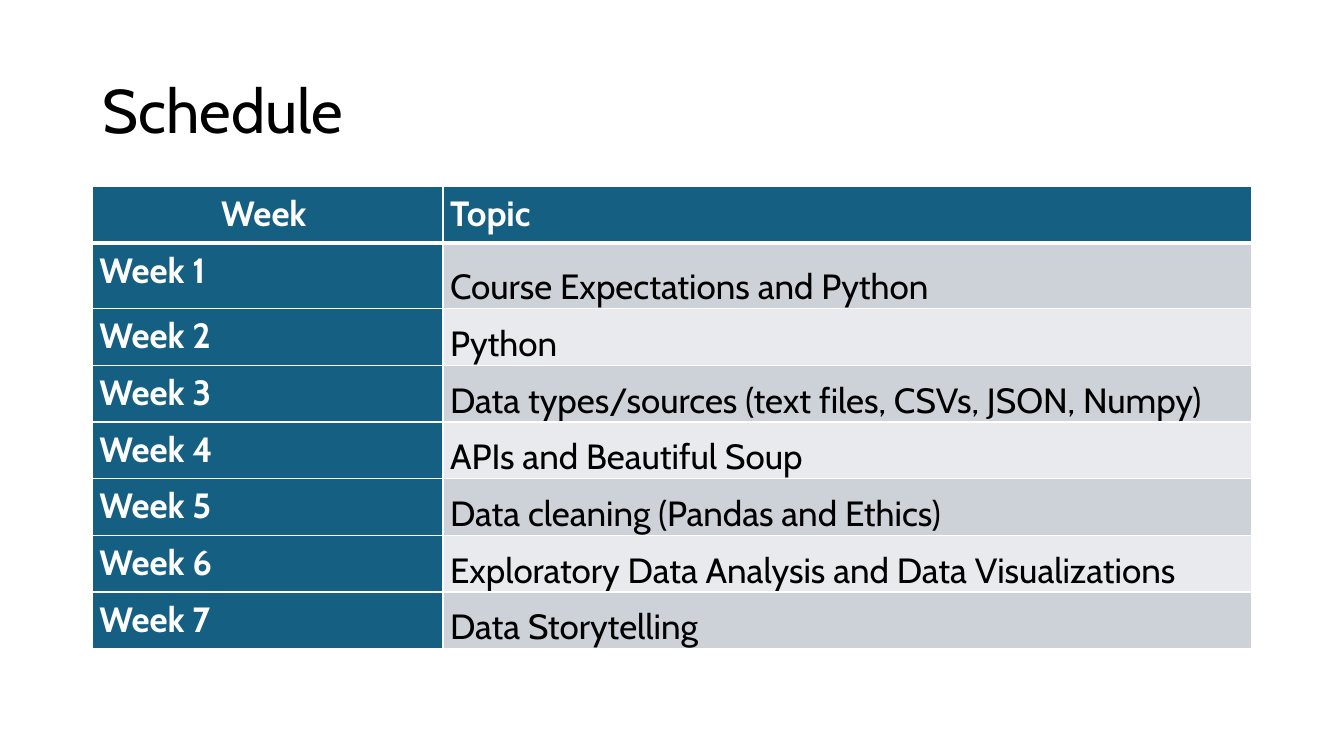
import pptx
import pptx.dml.color
import pptx.enum.text
import pptx.oxml
import pptx.oxml.ns
import pptx.util

Pt = pptx.util.Pt
Align = pptx.enum.text.PP_ALIGN
Anchor = pptx.enum.text.MSO_ANCHOR

FONT = "Cabin"
WHITE = "FFFFFF"
BLACK = "000000"
BLUE = "156082"
BANDS = ["CCD2D8", "E8EAED"]
HEADINGS = ["Week ", "Topic"]
TOPICS = [
    "Course Expectations and Python",
    "Python",
    "Data types/sources (text files, CSVs, JSON, Numpy)",
    "APIs and Beautiful Soup",
    "Data cleaning (Pandas and Ethics)",
    "Exploratory Data Analysis and Data Visualizations",
    "Data Storytelling",
]


def color(hex_string):
    return pptx.dml.color.RGBColor.from_string(hex_string)


def write_text(text_frame, text, size=25, hex_color=BLACK, bold=False,
               align=Align.LEFT, spacing=1.15):
    paragraph = text_frame.paragraphs[0]
    paragraph.alignment = align
    paragraph.line_spacing = spacing
    run = paragraph.add_run()
    run.text = text
    run.font.name = FONT
    run.font.size = Pt(size)
    run.font.bold = bold
    run.font.color.rgb = color(hex_color)


def add_border(cell, side, width, hex_color=WHITE):
    namespace = pptx.oxml.ns.nsdecls("a")
    cell._tc.get_or_add_tcPr().append(pptx.oxml.parse_xml(
        f'<a:{side} {namespace} w="{Pt(width)}"><a:solidFill>'
        f'<a:srgbClr val="{hex_color}"/></a:solidFill></a:{side}>'))


def format_cell(cell, fill, anchor, top_width=1, bottom_width=1):
    cell.margin_left = cell.margin_right = Pt(5)
    cell.margin_top = cell.margin_bottom = 0
    cell.vertical_anchor = anchor
    for side, width in [("lnL", 1), ("lnR", 1), ("lnT", top_width), ("lnB", bottom_width)]:
        add_border(cell, side, width)
    cell.fill.solid()
    cell.fill.fore_color.rgb = color(fill)


def add_title(slide, text, left, top, width, height):
    shape = slide.shapes.add_textbox(Pt(left), Pt(top), Pt(width), Pt(height))
    shape.text_frame.word_wrap = True
    shape.text_frame.vertical_anchor = Anchor.MIDDLE
    write_text(shape.text_frame, text, size=44, spacing=0.9)


def add_schedule(slide, left, top, width, height, week_width=250.5, first_week_extra=6.3):
    row_count = len(TOPICS) + 1
    table = slide.shapes.add_table(
        row_count, 2, Pt(left), Pt(top), Pt(width), Pt(height)).table
    table.columns[0].width = Pt(week_width)
    table.columns[1].width = Pt(width - week_width)
    row_height = (height - first_week_extra) / row_count
    for index, row in enumerate(table.rows):
        row.height = Pt(row_height + (first_week_extra if index == 1 else 0))

    for column, heading in enumerate(HEADINGS):
        cell = table.cell(0, column)
        format_cell(cell, BLUE, Anchor.TOP, bottom_width=3)
        write_text(cell.text_frame, heading, hex_color=WHITE, bold=True,
                   align=Align.LEFT if column else Align.CENTER)

    for week, topic in enumerate(TOPICS, start=1):
        top_width = 3 if week == 1 else 1
        week_cell, topic_cell = table.cell(week, 0), table.cell(week, 1)
        format_cell(week_cell, BLUE, Anchor.TOP, top_width)
        write_text(week_cell.text_frame, f"Week {week}", hex_color=WHITE, bold=True)
        format_cell(topic_cell, BANDS[(week - 1) % 2], Anchor.BOTTOM, top_width)
        write_text(topic_cell.text_frame, topic)


def main():
    presentation = pptx.Presentation()
    presentation.slide_width = Pt(960)
    presentation.slide_height = Pt(540)
    slide = presentation.slides.add_slide(presentation.slide_layouts[6])
    add_title(slide, "Schedule", 66, 28.75, 828, 104.4)
    add_schedule(slide, 66, 133.2, 828, 330.3)
    presentation.save("out.pptx")


if __name__ == "__main__":
    main()
